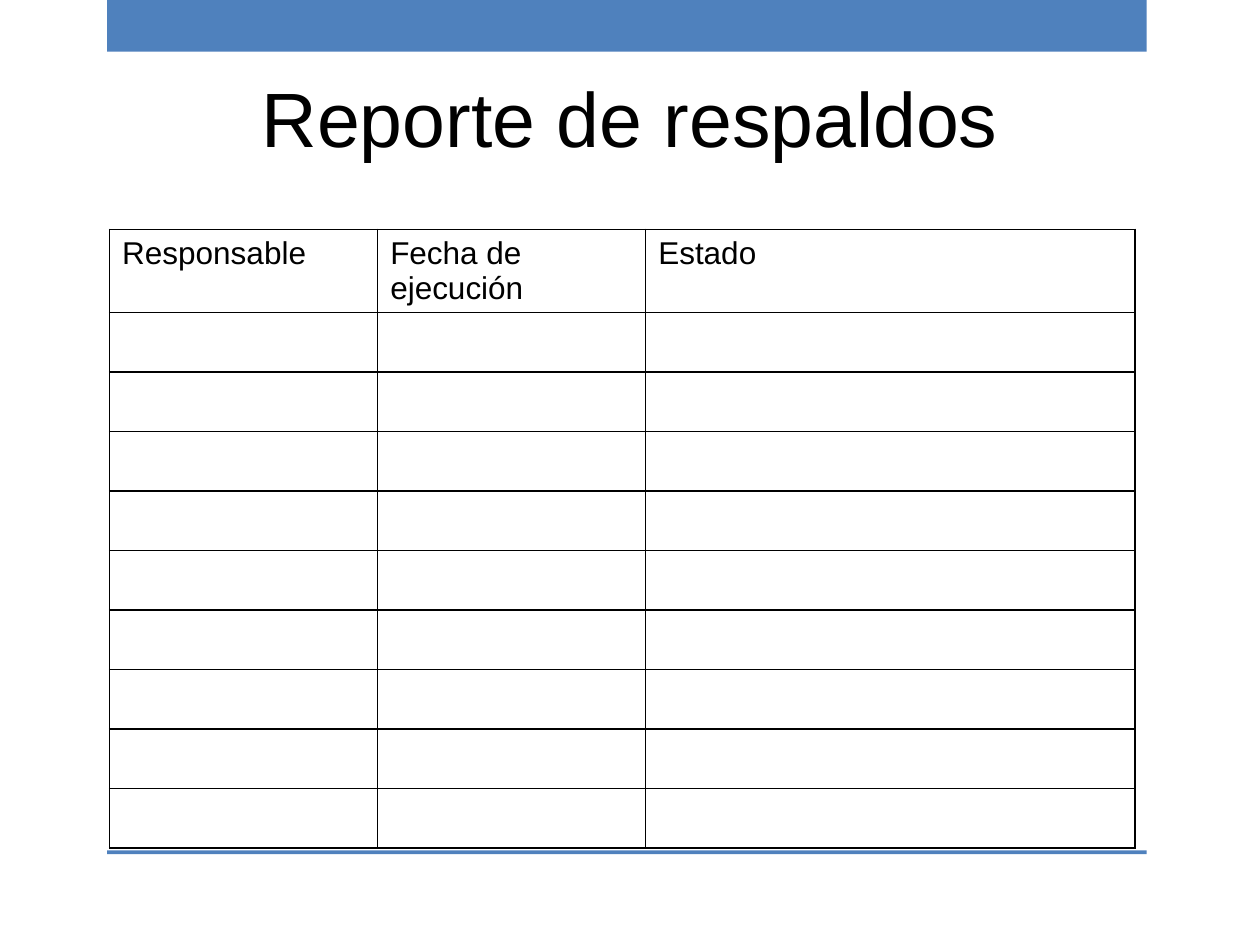
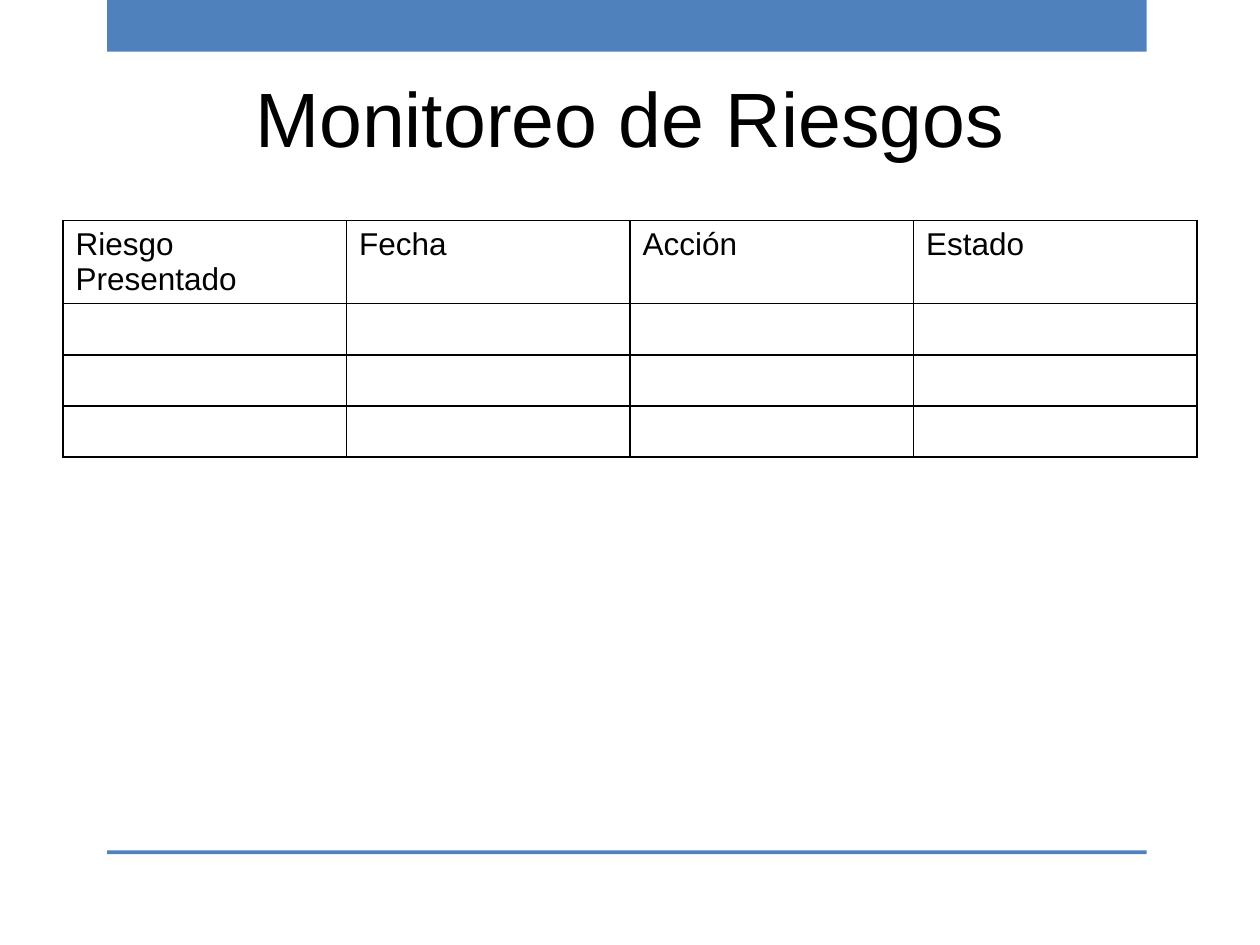
"""Builds two report slides, each with a title and a table to fill in."""
from dataclasses import dataclass

from lxml import etree
from pptx import Presentation
from pptx import util as u
from pptx.dml.color import RGBColor
from pptx.enum import shapes, text
from pptx.oxml.ns import qn


@dataclass(frozen=True)
class Theme:
    """Colours, type sizes and the grid shared by the slides."""
    accent: str = "4F81BD"
    ink: str = "000000"
    paper: str = "FFFFFF"
    font: str = "Arial"
    title_size: int = 44
    body_size: int = 18
    border: float = 1
    columns: int = 20
    rows: int = 15
    header_rows: float = 1.32
    title_area: tuple = (1, 0.6, 18, 2.5)
    top_band: tuple = (1.7, 0, 16.5, 0.82)
    bottom_rule: tuple = (1.7, 13.5, 16.5, 0.06)


def assign(target, values):
    """Set each attribute of the target from a dict of values."""
    for name, value in values.items():
        setattr(target, name, value)


class Report:
    """Holds the theme and the current slide, and draws each kind of element."""

    def __init__(self, theme):
        """Open a presentation of 10 by 7.5 inches."""
        self.theme = theme
        self.presentation = Presentation()
        assign(self.presentation, {"slide_width": u.Inches(10), "slide_height": u.Inches(7.5)})
        self.slide = None

    def across(self, columns):
        """Turn grid columns into a length."""
        return round(self.presentation.slide_width * columns / self.theme.columns)

    def down(self, rows):
        """Turn grid rows into a length."""
        return round(self.presentation.slide_height * rows / self.theme.rows)

    def place(self, area):
        """Turn a grid area into left, top, width and height."""
        left, top, width, height = area
        return self.across(left), self.down(top), self.across(width), self.down(height)

    def add_slide(self, title):
        """Start a slide with its bands and title."""
        layout = self.presentation.slide_layouts.get_by_name("Title Only")
        self.slide = self.presentation.slides.add_slide(layout)
        for area in (self.theme.top_band, self.theme.bottom_rule):
            self.add_band(area)
        self.set_title(title)

    def add_band(self, area):
        """Draw a plain rectangle in the accent colour."""
        shape = self.slide.shapes.add_shape(shapes.MSO_SHAPE.RECTANGLE, *self.place(area))
        shape.shadow.inherit = False
        shape.fill.solid()
        shape.fill.fore_color.rgb = RGBColor.from_string(self.theme.accent)
        shape.line.fill.background()

    def set_title(self, words):
        """Place and format the title placeholder."""
        shape = self.slide.shapes.title
        assign(shape, dict(zip(("left", "top", "width", "height"),
                               self.place(self.theme.title_area))))
        assign(shape.text_frame, {
            "margin_left": 0, "margin_top": 0, "margin_right": 0, "margin_bottom": 0,
            "word_wrap": True, "vertical_anchor": text.MSO_ANCHOR.MIDDLE})
        self.add_words(shape.text_frame, words, self.theme.title_size, text.PP_ALIGN.CENTER)

    def add_words(self, frame, words, size, alignment):
        """Fill the first paragraph in the theme's font."""
        paragraph = frame.paragraphs[0]
        paragraph.alignment = alignment
        run = paragraph.add_run()
        run.text = words
        assign(run.font, {"name": self.theme.font, "size": u.Pt(size)})
        run.font.color.rgb = RGBColor.from_string(self.theme.ink)

    def add_table(self, area, headings, shares, empty_rows):
        """Draw a ruled table with a heading row and equal empty rows."""
        left, top, width, height = self.place(area)
        table = self.slide.shapes.add_table(
            empty_rows + 1, len(headings), left, top, width, height).table
        assign(table, {"first_row": False, "horz_banding": False})
        for column, share in zip(table.columns, shares):
            column.width = round(width * share / sum(shares))
        header_height = self.down(self.theme.header_rows)
        for index, row in enumerate(table.rows):
            row.height = round((height - header_height) / empty_rows) if index else header_height
        for cell in table.iter_cells():
            self.rule_cell(cell)
        for cell, heading in zip(table.rows[0].cells, headings):
            self.add_words(cell.text_frame, heading, self.theme.body_size, text.PP_ALIGN.LEFT)

    def rule_cell(self, cell):
        """Give a cell four borders and the paper colour."""
        properties = cell._tc.get_or_add_tcPr()
        for side in ("a:lnL", "a:lnR", "a:lnT", "a:lnB"):
            line = etree.SubElement(properties, qn(side), w=str(u.Pt(self.theme.border)))
            fill = etree.SubElement(line, qn("a:solidFill"))
            etree.SubElement(fill, qn("a:srgbClr"), val=self.theme.ink)
        cell.fill.solid()
        cell.fill.fore_color.rgb = RGBColor.from_string(self.theme.paper)


def main():
    """Build and save the report."""
    report = Report(Theme())
    report.add_slide("Reporte de respaldos")
    report.add_table((1.74, 3.64, 16.28, 9.82),
                     ("Responsable", "Fecha de ejecución", "Estado"),
                     (2.13, 2.13, 3.89), empty_rows=9)
    report.add_slide("Monitoreo de Riesgos")
    report.add_table((1, 3.5, 18, 3.6),
                     ("Riesgo Presentado", "Fecha", "Acción", "Estado"),
                     (1, 1, 1, 1), empty_rows=3)
    report.presentation.save("out.pptx")


if __name__ == "__main__":
    main()
